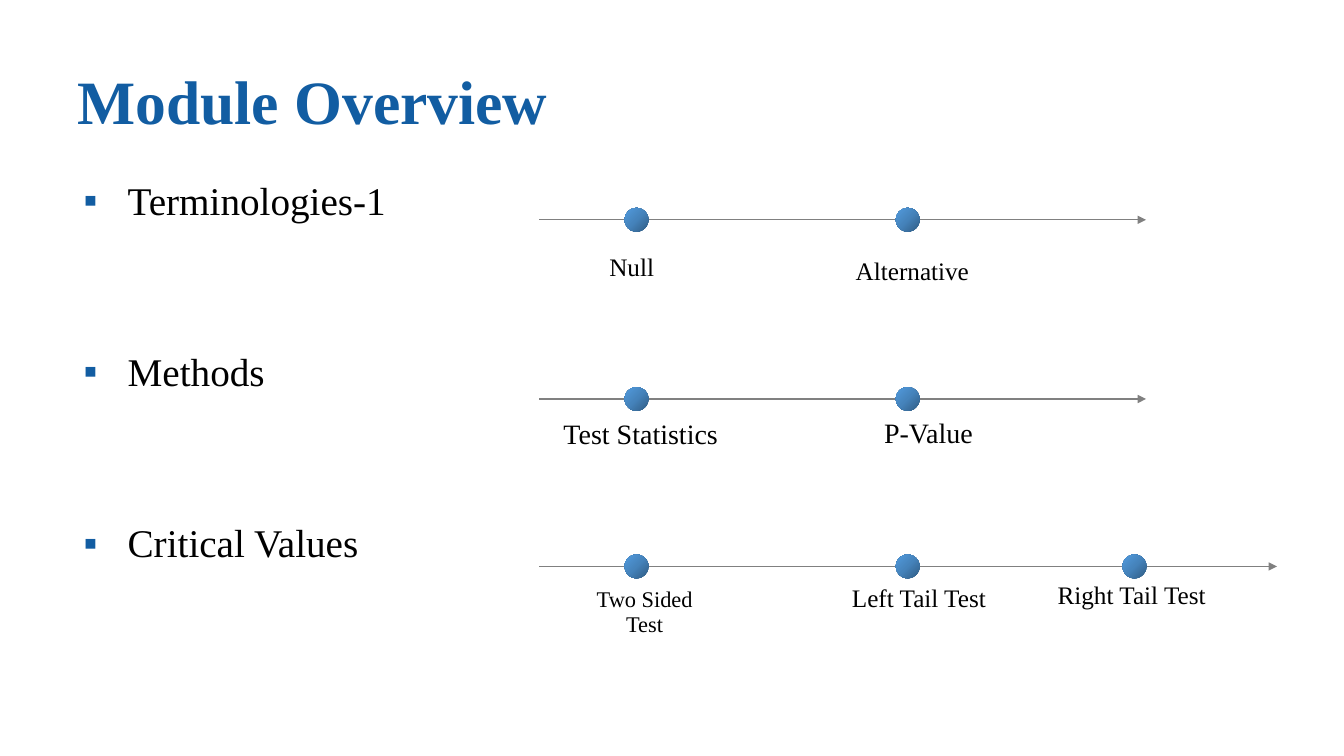
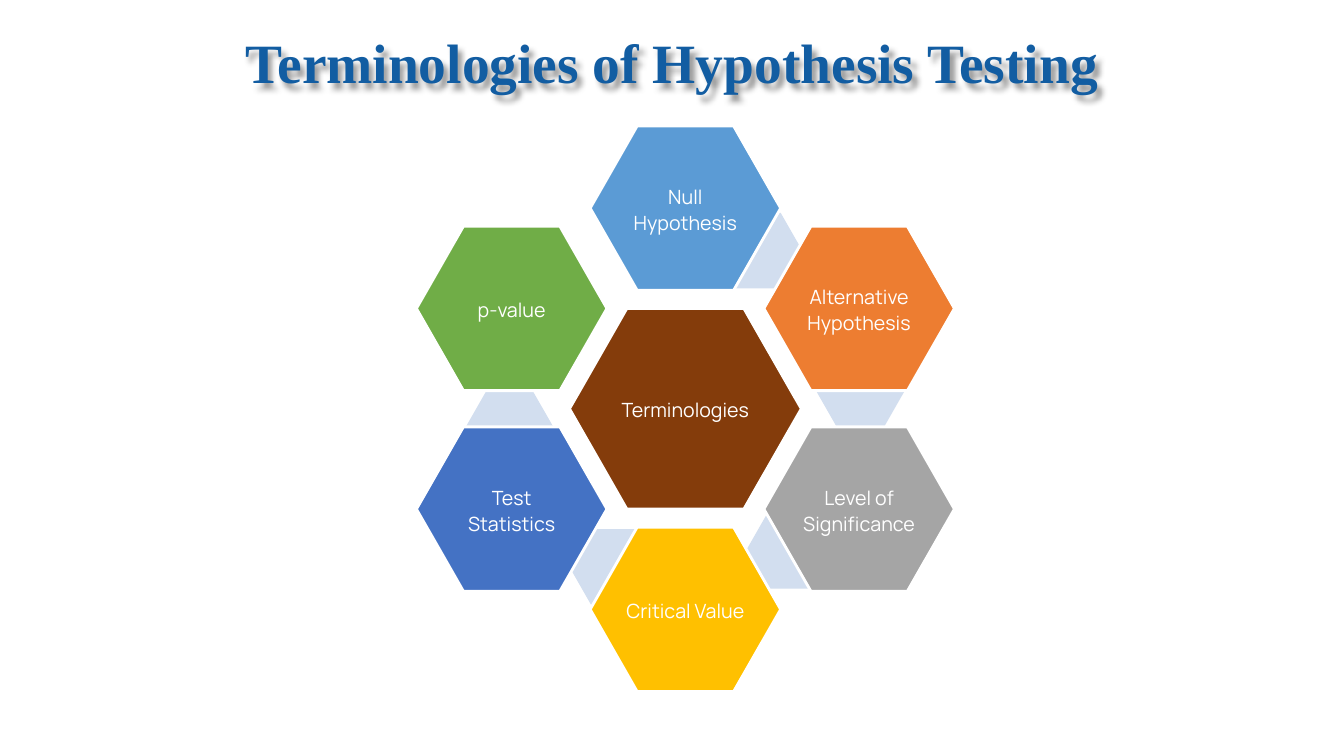
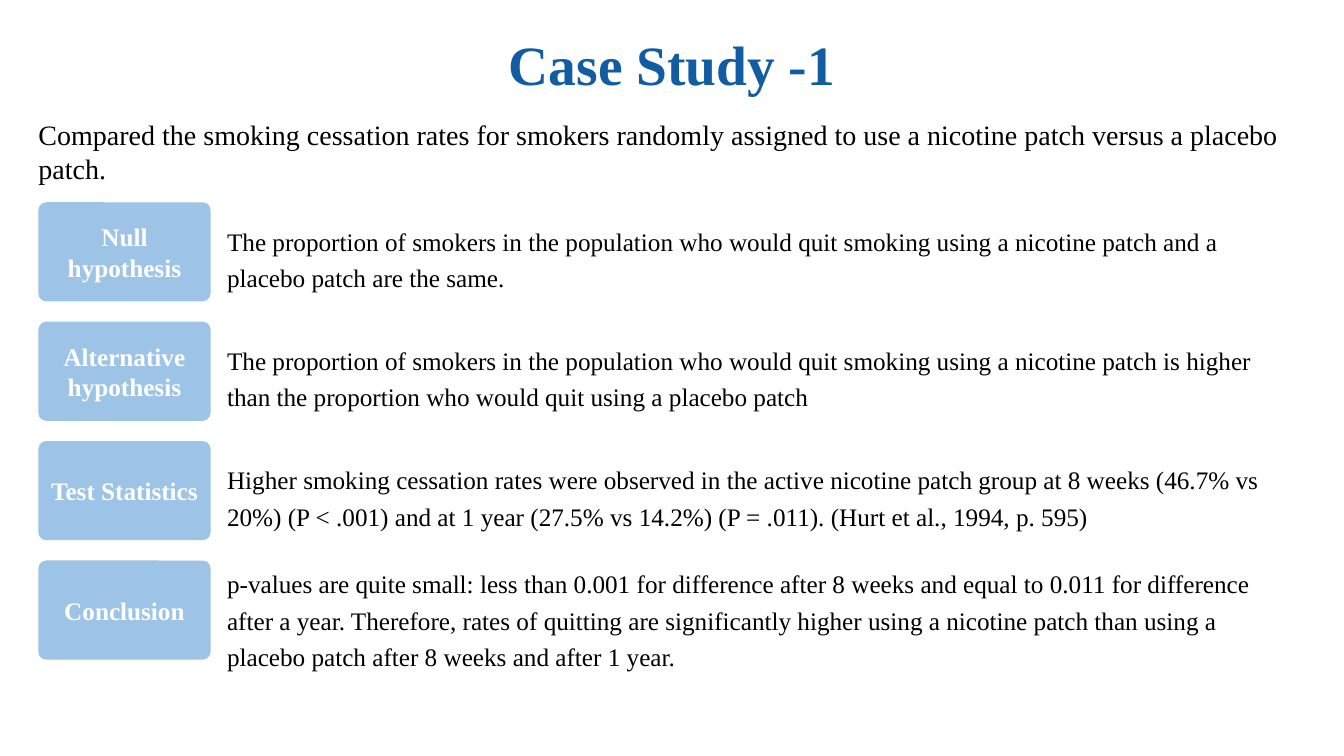
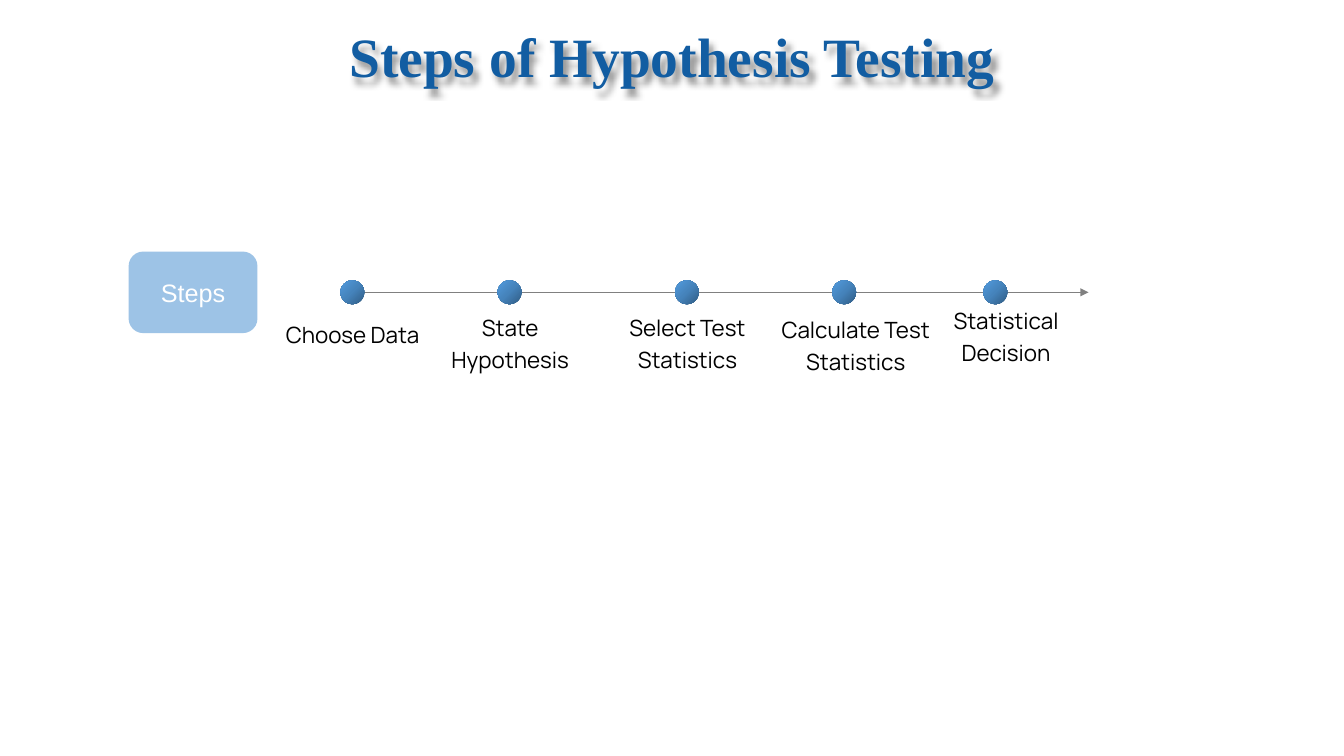
from copy import deepcopy
from dataclasses import dataclass
from math import cos, radians, sin

from lxml import etree
from pptx import Presentation
from pptx.dml.color import RGBColor
from pptx.enum import shapes, text
from pptx.oxml.ns import qn
from pptx.util import Pt

COLORS = {
    "title": "125DA2", "ink": "000000", "white": "FFFFFF", "axis": "808080",
    "card": "9DC3E6", "hub": "843C0B", "link": "D2DEEF",
    "blue": "5B9BD5", "orange": "ED7D31", "gray": "A5A5A5",
    "gold": "FFC000", "indigo": "4472C4", "green": "70AD47",
    "dot_dark": "305C84", "dot_mid": "4583BB", "dot_light": "529BDE",
}
SERIF, SANS, ARIAL = "Times New Roman", "Manrope", "Arial"
LEFT, CENTER = text.PP_ALIGN.LEFT, text.PP_ALIGN.CENTER
TOP, MIDDLE = text.MSO_ANCHOR.TOP, text.MSO_ANCHOR.MIDDLE
SHAPE = shapes.MSO_SHAPE
DOT_SIZE = 17


@dataclass
class Step:
    name: str
    dot: float
    left: float
    top: float
    width: float
    height: float
    size: float
    align: int = LEFT


def rgb(color):
    return RGBColor.from_string(COLORS[color])


def add_xml(parent, tag, **attributes):
    return etree.SubElement(parent, qn(tag), attributes)


def place(shape, left, top, width, height):
    shape.left, shape.top = Pt(left), Pt(top)
    shape.width, shape.height = Pt(width), Pt(height)


def write(shape, lines, font, size, color="ink", bold=False, align=LEFT,
          anchor=TOP, spacing=1.0, inset=(0, 0)):
    frame = shape.text_frame
    frame.text = lines
    frame.word_wrap = True
    frame.auto_size = text.MSO_AUTO_SIZE.NONE
    frame.vertical_anchor = anchor
    frame.margin_left = frame.margin_right = Pt(inset[0])
    frame.margin_top = frame.margin_bottom = Pt(inset[1])
    for paragraph in frame.paragraphs:
        paragraph.alignment = align
        paragraph.line_spacing = spacing
        for run in paragraph.runs:
            run.font.name, run.font.size, run.font.bold = font, Pt(size), bold
            run.font.color.rgb = rgb(color)


def add_text(slide, box, lines, font, size, **style):
    shape = slide.shapes.add_textbox(*map(Pt, box))
    write(shape, lines, font, size, **style)


def add_block(slide, kind, box, fill, line=None):
    shape = slide.shapes.add_shape(kind, *map(Pt, box))
    shape.shadow.inherit = False
    shape.fill.solid()
    shape.fill.fore_color.rgb = rgb(fill)
    if line:
        shape.line.color.rgb = rgb(line)
        shape.line.width = Pt(2)
    else:
        shape.line.fill.background()
    return shape


def add_titled_slide(presentation, layout, title, top, height, size=39.6,
                     align=CENTER, shadow=False):
    slide = presentation.slides.add_slide(presentation.slide_layouts[layout])
    shape = slide.shapes.title
    place(shape, 48, top, 864, height)
    write(shape, title, SERIF, size, "title", True, align, MIDDLE, 0.9, (7.2, 3.6))
    if shadow:
        effects = add_xml(shape.element.spPr, "a:effectLst")
        outer = add_xml(effects, "a:outerShdw", blurRad="50800", dist="50800",
                        dir="3600000", algn="tl", rotWithShape="0")
        black = add_xml(outer, "a:srgbClr", val=COLORS["ink"])
        add_xml(black, "a:alpha", val="40000")
    return slide


def add_bullets(slide, box, items, gap):
    shape = slide.placeholders[1]
    place(shape, *box)
    write(shape, "\n".join(items), SERIF, 28, spacing=0.9, inset=(7.2, 3.6))
    for index, paragraph in enumerate(shape.text_frame.paragraphs):
        paragraph.space_before = Pt(gap if index else 0)
        properties = paragraph._p.get_or_add_pPr()
        properties.set("marL", str(Pt(36)))
        properties.set("indent", str(Pt(-31.5)))
        add_xml(add_xml(properties, "a:buClr"), "a:srgbClr", val=COLORS["title"])
        add_xml(properties, "a:buFont", typeface=ARIAL)
        add_xml(properties, "a:buChar", char="▪")


def add_dot(slide, center, middle):
    box = (center - DOT_SIZE / 2, middle - DOT_SIZE / 2, DOT_SIZE, DOT_SIZE)
    dot = add_block(slide, SHAPE.OVAL, box, "dot_mid")
    dot.fill.gradient()
    dot.fill.gradient_angle = 135
    stops = dot.element.spPr.find(".//" + qn("a:gsLst"))
    stops.append(deepcopy(stops[0]))
    shades = ((0, "dot_dark"), (0.5, "dot_mid"), (1, "dot_light"))
    for stop, (position, color) in zip(dot.fill.gradient_stops, shades):
        stop.position = position
        stop.color.rgb = rgb(color)


def add_timeline(slide, left, middle, length, steps, font, spacing, indent=0):
    axis = slide.shapes.add_connector(
        shapes.MSO_CONNECTOR.STRAIGHT, Pt(left), Pt(middle), Pt(left + length), Pt(middle))
    axis.line.color.rgb = rgb("axis")
    axis.line.width = Pt(0.75)
    add_xml(axis.line._get_or_add_ln(), "a:tailEnd", type="triangle")
    add_xml(axis.element.spPr, "a:effectLst")
    for step in steps:
        add_dot(slide, left + step.dot, middle)
        box = (left + step.left + indent, middle + step.top,
               step.width - indent, step.height)
        add_text(slide, box, step.name, font, step.size, align=step.align,
                 anchor=MIDDLE, spacing=spacing)


def add_hexagon(slide, center, middle, width, height, fill, name=None):
    box = (center - width / 2, middle - height / 2, width, height)
    hexagon = add_block(slide, SHAPE.HEXAGON, box, fill, "white" if name else None)
    hexagon.adjustments[0] = 0.286
    if name:
        write(hexagon, name, SANS, 14, "white", align=CENTER, anchor=MIDDLE,
              spacing=1.1, inset=(1.4, 1.4))


def add_hexagon_ring(slide, center, middle, radius, hub, terms, links):
    add_hexagon(slide, center, middle, 165.6, 143.3, "hub", hub)
    for across, down in links:
        add_hexagon(slide, center + across, middle + down, 62.6, 54, "link")
    for index, (name, color) in enumerate(terms):
        angle = radians(360 / len(terms) * index - 90)
        add_hexagon(slide, center + radius * cos(angle), middle + radius * sin(angle),
                    136.1, 117.4, color, name)


def add_case_row(slide, left, top, name, finding, drop):
    card = add_block(slide, SHAPE.ROUNDED_RECTANGLE, (left, top, 123, 70.8), "card")
    card.adjustments[0] = 0.08
    write(card, name, SERIF, 18, "white", True, CENTER, MIDDLE, inset=(7.2, 7.2))
    add_text(slide, (left + 134.8, top + drop, 757.4, 45.4), finding, SERIF, 18,
             spacing=1.2)


def build_overview(presentation):
    slide = add_titled_slide(presentation, 1, "Module Overview", 20, 110, 44, LEFT)
    add_bullets(slide, (48, 126, 325.4, 360),
                ["Terminologies-1", "Methods", "Critical Values"], 92)
    first, second, third = 69.5, 263.2, 425.2
    add_timeline(slide, 385.2, 157, 433.4, [
        Step("Null", first, 6, 20.2, 120, 24, 18, CENTER),
        Step("Alternative", second, 206, 23, 121, 24, 18, CENTER),
    ], SERIF, 1.1)
    add_timeline(slide, 385.2, 285, 433.4, [
        Step("Test Statistics", first, 13, 15.1, 118, 21.6, 20),
        Step("P-Value", second, 242, 14.4, 83, 22.3, 20),
    ], SERIF, 0.9, 4.3)
    add_timeline(slide, 385.2, 404.6, 527, [
        Step("Two Sided Test", first, 24.5, 15.8, 97.2, 34.6, 16, CENTER),
        Step("Left Tail Test", second, 219, 13.7, 102, 19.4, 18),
        Step("Right Tail Test", third, 366, 11.5, 119.5, 19.4, 18),
    ], SERIF, 0.9, 4.3)


def build_terms(presentation):
    slide = add_titled_slide(presentation, 5, "Terminologies of Hypothesis Testing",
                             20.9, 51.8, shadow=True)
    add_hexagon_ring(slide, 489.6, 292, 143.3, "Terminologies", [
        ("Null Hypothesis", "blue"),
        ("Alternative Hypothesis", "orange"),
        ("Level of Significance", "gray"),
        ("Critical Value", "gold"),
        ("Test Statistics", "indigo"),
        ("p-value", "green"),
    ], [(52.2, -113), (125, -12.2), (74.5, 101.5), (-51.5, 113), (-125.6, 13)])


def build_case(presentation):
    slide = add_titled_slide(presentation, 5, "Case Study -1", 20.9, 54)
    add_text(slide, (27.4, 84.2, 905.8, 48.2),
             "Compared the smoking cessation rates for smokers randomly assigned to use "
             "a nicotine patch versus a placebo patch.", SERIF, 20)
    rows = [
        ("Null hypothesis",
         "The proportion of smokers in the population who would quit smoking using "
         "a nicotine patch and a placebo patch are the same.", 12.5),
        ("Alternative hypothesis",
         "The proportion of smokers in the population who would quit smoking using "
         "a nicotine patch is higher than the proportion who would quit using a "
         "placebo patch", 12.5),
        ("Test Statistics",
         "Higher smoking cessation rates were observed in the active nicotine patch "
         "group at 8 weeks (46.7% vs 20%) (P < .001) and at 1 year (27.5% vs 14.2%) "
         "(P = .011). (Hurt et al., 1994, p. 595)", 12.5),
        ("Conclusion",
         "p-values are quite small: less than 0.001 for difference after 8 weeks and "
         "equal to 0.011 for difference after a year. Therefore, rates of quitting are "
         "significantly higher using a nicotine patch than using a placebo patch after "
         "8 weeks and after 1 year.", 1.5),
    ]
    for index, row in enumerate(rows):
        add_case_row(slide, 27.4, 144.5 + 85.3 * index, *row)


def build_steps(presentation):
    slide = add_titled_slide(presentation, 5, "Steps of Hypothesis Testing",
                             20.9, 43.2, shadow=True)
    card = add_block(slide, SHAPE.ROUNDED_RECTANGLE, (92.9, 180.7, 90, 56.2),
                     "card", "card")
    write(card, "Steps", ARIAL, 18, "white", align=CENTER, anchor=MIDDLE)
    add_timeline(slide, 251.3, 208.8, 526.3, [
        Step("Choose Data", 0.4, -55.5, 17.3, 112.3, 22.3, 16, CENTER),
        Step("State Hypothesis", 112.7, 57, 12.2, 112.3, 45.4, 16, CENTER),
        Step("Select Test Statistics", 239.4, 183.6, 12.2, 112.3, 45.4, 16, CENTER),
        Step("Calculate Test Statistics", 351.7, 303.8, 13.7, 112.3, 45.4, 16, CENTER),
        Step("Statistical Decision", 459.7, 416.2, 6.5, 102.2, 46.8, 16, CENTER),
    ], SANS, 1.2)


presentation = Presentation()
presentation.slide_width, presentation.slide_height = Pt(960), Pt(540)
for build in (build_overview, build_terms, build_case, build_steps):
    build(presentation)
presentation.save("out.pptx")
